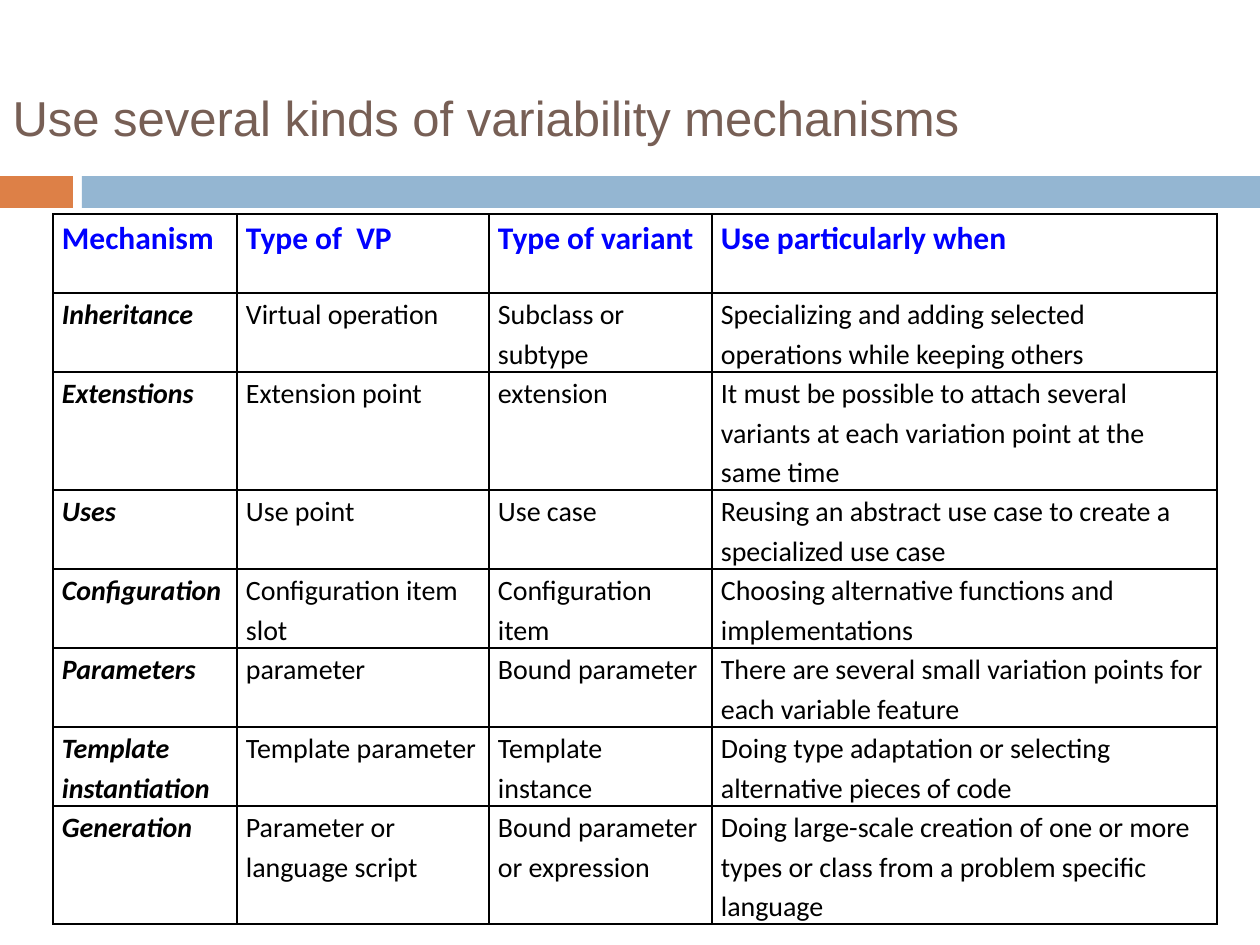
import pptx
import pptx.util
import pptx.dml.color
import pptx.enum.shapes
import pptx.enum.text
import pptx.oxml.ns
from lxml import etree

SCALE = 914400 / 126  # EMU per px
SIZE = (1260, 945)


class Theme:
    title, header, body, line = "775F55", "0000FF", "000000", "000000"
    accent, band = "DD8047", "94B6D2"
    title_font = {"name": "Arial", "size": pptx.util.Pt(28), "bold": False}
    header_font = {"name": "Calibri", "size": pptx.util.Pt(18), "bold": True}
    body_font = {"name": "Calibri", "size": pptx.util.Pt(16), "bold": False}
    label_font = {**body_font, "bold": True, "italic": True}
    line_width = pptx.util.Pt(1)
    line_spacing = 1.15


def px(n):
    return pptx.util.Emu(round(n * SCALE))


def rgb(color):
    return pptx.dml.color.RGBColor.from_string(color)


def assign(obj, values):
    for name, value in values.items():
        setattr(obj, name, value)


class Deck:
    def __init__(self, theme):
        self.theme = theme
        self.prs = pptx.Presentation()
        self.prs.slide_width, self.prs.slide_height = map(px, SIZE)
        self.s = self.prs.slides.add_slide(self.prs.slide_layouts[5])

    def text(self, tf, text, font, color, **paragraph):
        p = tf.paragraphs[0]
        assign(p, paragraph)
        r = p.add_run()
        r.text = text
        assign(r.font, font)
        r.font.color.rgb = rgb(color)

    def title(self, text, left, top, width, height):
        sp = self.s.shapes.title
        assign(sp, {"left": px(left), "top": px(top),
                    "width": px(width), "height": px(height)})
        sp.text_frame.vertical_anchor = pptx.enum.text.MSO_ANCHOR.MIDDLE
        self.text(sp.text_frame, text, self.theme.title_font, self.theme.title,
                  alignment=pptx.enum.text.PP_ALIGN.LEFT)

    def bar(self, color, *box):
        sp = self.s.shapes.add_shape(
            pptx.enum.shapes.MSO_SHAPE.RECTANGLE, *map(px, box))
        sp.shadow.inherit = False
        sp.fill.solid()
        sp.fill.fore_color.rgb = rgb(color)
        sp.line.fill.background()

    def borders(self, cell):
        tag = pptx.oxml.ns.qn
        tc_pr = cell._tc.get_or_add_tcPr()
        for side in ("a:lnL", "a:lnR", "a:lnT", "a:lnB"):
            ln = etree.SubElement(tc_pr, tag(side), w=str(self.theme.line_width))
            fill = etree.SubElement(ln, tag("a:solidFill"))
            etree.SubElement(fill, tag("a:srgbClr"), val=self.theme.line)

    def cell(self, cell, text, font, color):
        assign(cell, {"margin_left": px(9), "margin_right": px(9),
                      "margin_top": 0, "margin_bottom": 0})
        self.borders(cell)
        cell.fill.background()
        self.text(cell.text_frame, text, font, color,
                  line_spacing=self.theme.line_spacing)

    def table(self, rows, left, top, widths, heights):
        t = self.theme
        table = self.s.shapes.add_table(
            len(rows), len(widths), px(left), px(top),
            px(sum(widths)), px(sum(heights))).table
        assign(table, {"first_row": False, "horz_banding": False})
        for column, width in zip(table.columns, widths):
            column.width = px(width)
        for row, height in zip(table.rows, heights):
            row.height = px(height)
        for i, row in enumerate(rows):
            for j, text in enumerate(row):
                if i == 0:
                    font, color = t.header_font, t.header
                else:
                    font, color = (t.body_font if j else t.label_font), t.body
                self.cell(table.cell(i, j), text, font, color)


MECHANISMS = [
    ("Mechanism", "Type of  VP", "Type of variant", "Use particularly when"),
    ("Inheritance", "Virtual operation", "Subclass or subtype",
     "Specializing and adding selected operations while keeping others"),
    ("Extenstions", "Extension point", "extension",
     "It must be possible to attach several variants at each variation point "
     "at the same time"),
    ("Uses", "Use point", "Use case",
     "Reusing an abstract use case to create a specialized use case"),
    ("Configuration", "Configuration item slot", "Configuration item",
     "Choosing alternative functions and implementations"),
    ("Parameters", "parameter", "Bound parameter",
     "There are several small variation points for each variable feature"),
    ("Template instantiation", "Template parameter", "Template instance",
     "Doing type adaptation or selecting alternative pieces of code"),
    ("Generation", "Parameter or language script",
     "Bound parameter or expression",
     "Doing large-scale creation of one or more types or class from a problem "
     "specific language"),
]


def main():
    deck = Deck(Theme)

    # Band under the title
    deck.bar(Theme.accent, 0, 176, 73, 32)
    deck.bar(Theme.band, 82, 176, 1178, 32)

    # Title
    deck.title("Use several kinds of variability mechanisms", 0, 38, 1260, 157)

    # Table of mechanisms: rows are two or three lines high
    two, three = 79, 118
    deck.table(MECHANISMS, 53, 214, (184, 252, 223, 505),
               (two, two, three, two, two, two, two, three))

    deck.prs.save("out.pptx")


if __name__ == "__main__":
    main()
